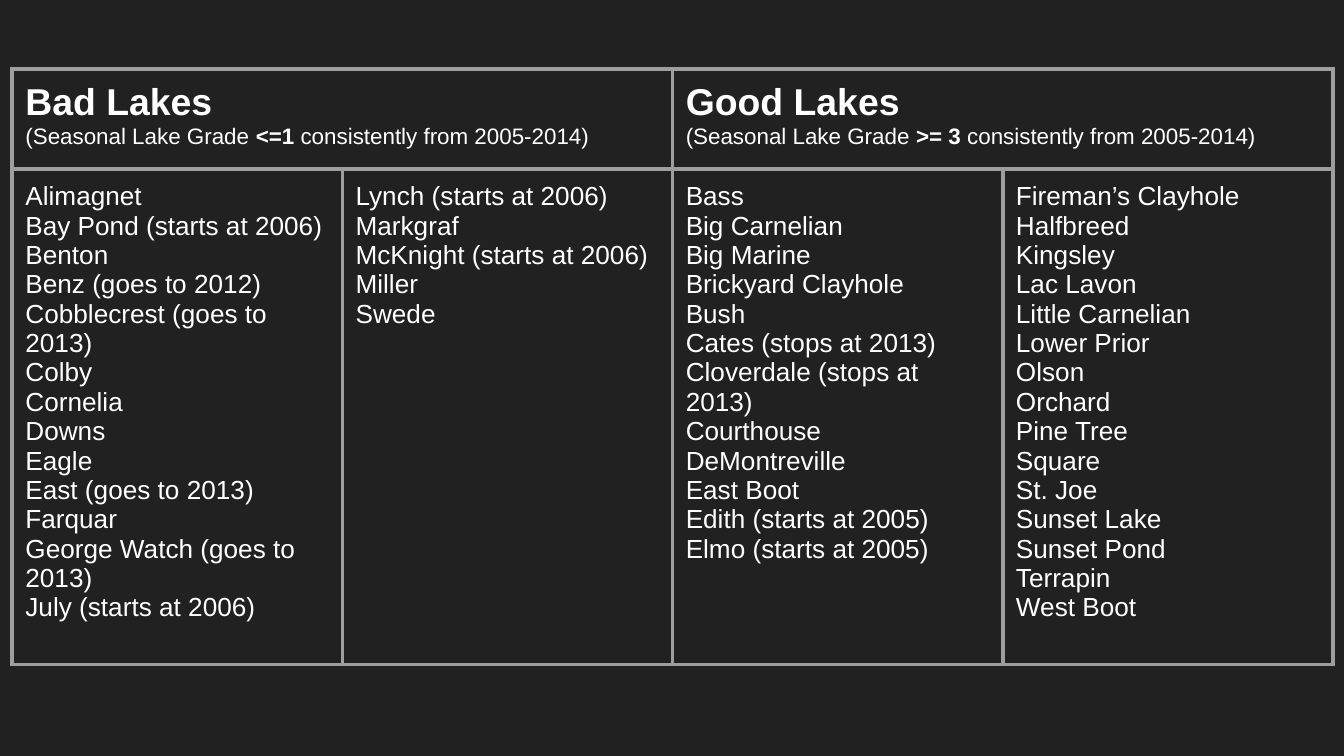
from lxml.etree import SubElement
from pptx import Presentation
from pptx.dml.color import RGBColor
from pptx.oxml.ns import qn
from pptx.util import Cm, Pt

COLORS = {"back": "212121", "text": "FFFFFF", "line": "9E9E9E"}
FONT = "Arial"
COL_W = Cm(6.24)
ROWS = [Cm(1.89), Cm(9.37)]

# Heading and the parts of the note; the middle part is bold
HEADS = [
    ("Bad Lakes",
     ["(Seasonal Lake Grade ", "<=1 ", "consistently from 2005-2014)"]),
    ("Good Lakes",
     ["(Seasonal Lake Grade ", ">= 3", " consistently from 2005-2014)"]),
]
LAKES = [
    ["Alimagnet", "Bay Pond (starts at 2006)", "Benton",
     "Benz (goes to 2012)", "Cobblecrest (goes to 2013)", "Colby",
     "Cornelia", "Downs", "Eagle", "East (goes to 2013)", "Farquar",
     "George Watch (goes to 2013)", "July (starts at 2006)"],
    ["Lynch (starts at 2006)", "Markgraf", "McKnight (starts at 2006)",
     "Miller", "Swede"],
    ["Bass", "Big Carnelian", "Big Marine", "Brickyard Clayhole", "Bush",
     "Cates (stops at 2013)", "Cloverdale (stops at 2013)", "Courthouse",
     "DeMontreville", "East Boot", "Edith (starts at 2005)",
     "Elmo (starts at 2005)"],
    ["Fireman’s Clayhole", "Halfbreed", "Kingsley", "Lac Lavon",
     "Little Carnelian", "Lower Prior", "Olson", "Orchard", "Pine Tree",
     "Square", "St. Joe", "Sunset Lake", "Sunset Pond", "Terrapin",
     "West Boot"],
]


def style(run, size, bold=False):
    font = run.font
    font.name = FONT
    font.size = Pt(size)
    font.bold = bold
    font.color.rgb = RGBColor.from_string(COLORS["text"])


def frame(cell):
    """Draw the four borders, clear the fill and set the margins."""
    props = cell._tc.get_or_add_tcPr()
    for side in ("lnL", "lnR", "lnT", "lnB"):
        line = SubElement(props, qn(f"a:{side}"), w=str(Pt(2.25)))
        fill = SubElement(line, qn("a:solidFill"))
        SubElement(fill, qn("a:srgbClr"), val=COLORS["line"])
    cell.fill.background()
    cell.margin_left = cell.margin_right = Cm(0.25)
    cell.margin_top = cell.margin_bottom = Cm(0.25)


def add_head(cell, title, parts):
    text = cell.text_frame
    text.text = title
    style(text.paragraphs[0].runs[0], 20, True)
    note = text.add_paragraph()
    for i, part in enumerate(parts):
        run = note.add_run()
        run.text = part
        style(run, 12, i == 1)


def add_list(cell, names):
    text = cell.text_frame
    text.text = "\n".join(names)
    for para in text.paragraphs:
        style(para.runs[0], 14)


def add_grid(slide):
    count = len(LAKES)
    shape = slide.shapes.add_table(len(ROWS), count, Cm(0.23), Cm(1.3),
                                   COL_W * count, sum(ROWS))
    table = shape.table
    table.first_row = table.horz_banding = False
    for col in table.columns:
        col.width = COL_W
    for row, height in zip(table.rows, ROWS):
        row.height = height
    for cell in table.iter_cells():
        frame(cell)
    return table


def main():
    prs = Presentation()
    prs.slide_width, prs.slide_height = Cm(25.4), Cm(14.29)
    slide = prs.slides.add_slide(prs.slide_layouts[6])

    # Background
    fill = slide.background.fill
    fill.solid()
    fill.fore_color.rgb = RGBColor.from_string(COLORS["back"])

    # Headings, each over two columns
    table = add_grid(slide)
    for i, (title, parts) in enumerate(HEADS):
        cell = table.cell(0, 2 * i)
        cell.merge(table.cell(0, 2 * i + 1))
        add_head(cell, title, parts)

    # Lists of lakes
    for i, names in enumerate(LAKES):
        add_list(table.cell(1, i), names)

    prs.save("out.pptx")


if __name__ == "__main__":
    main()
